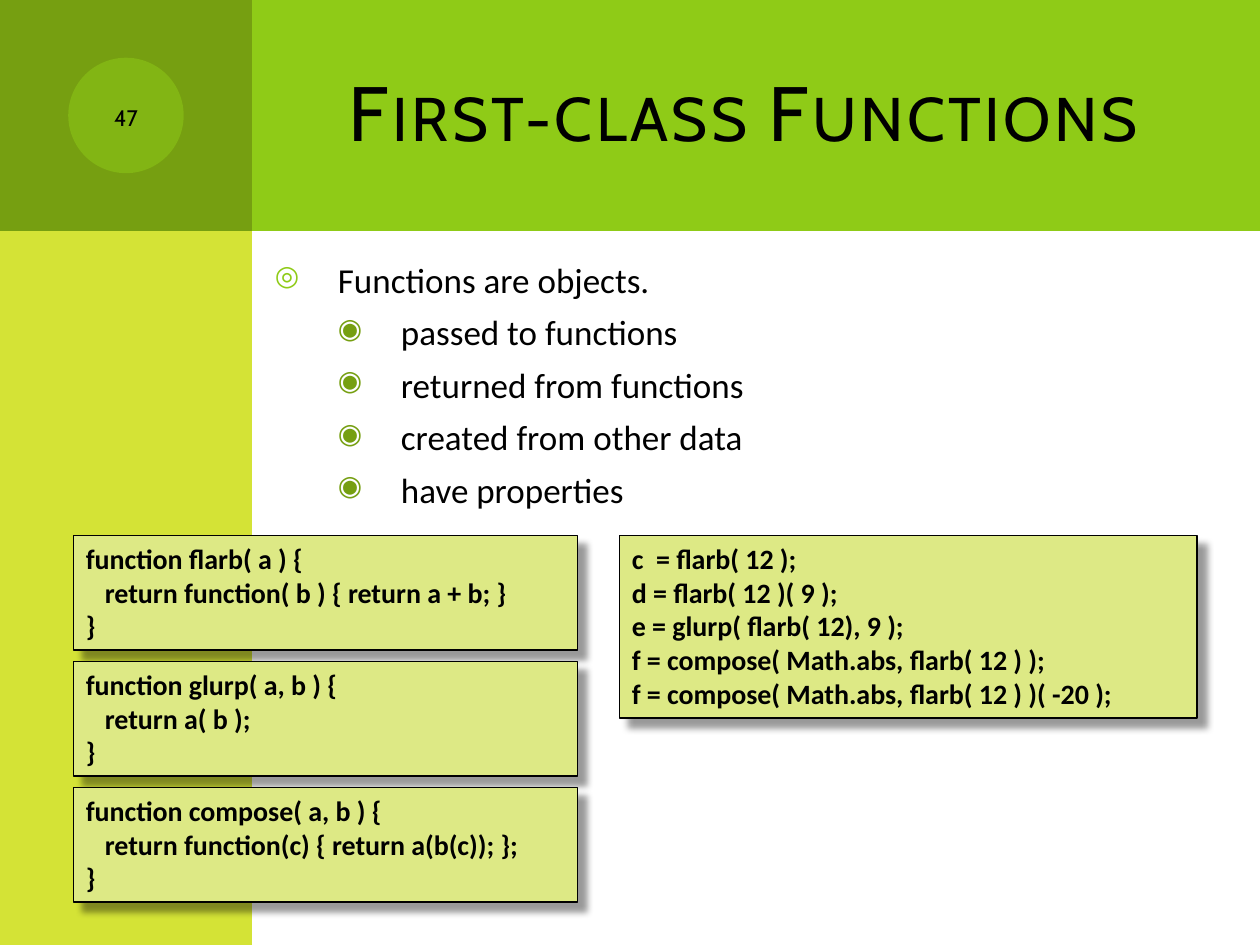
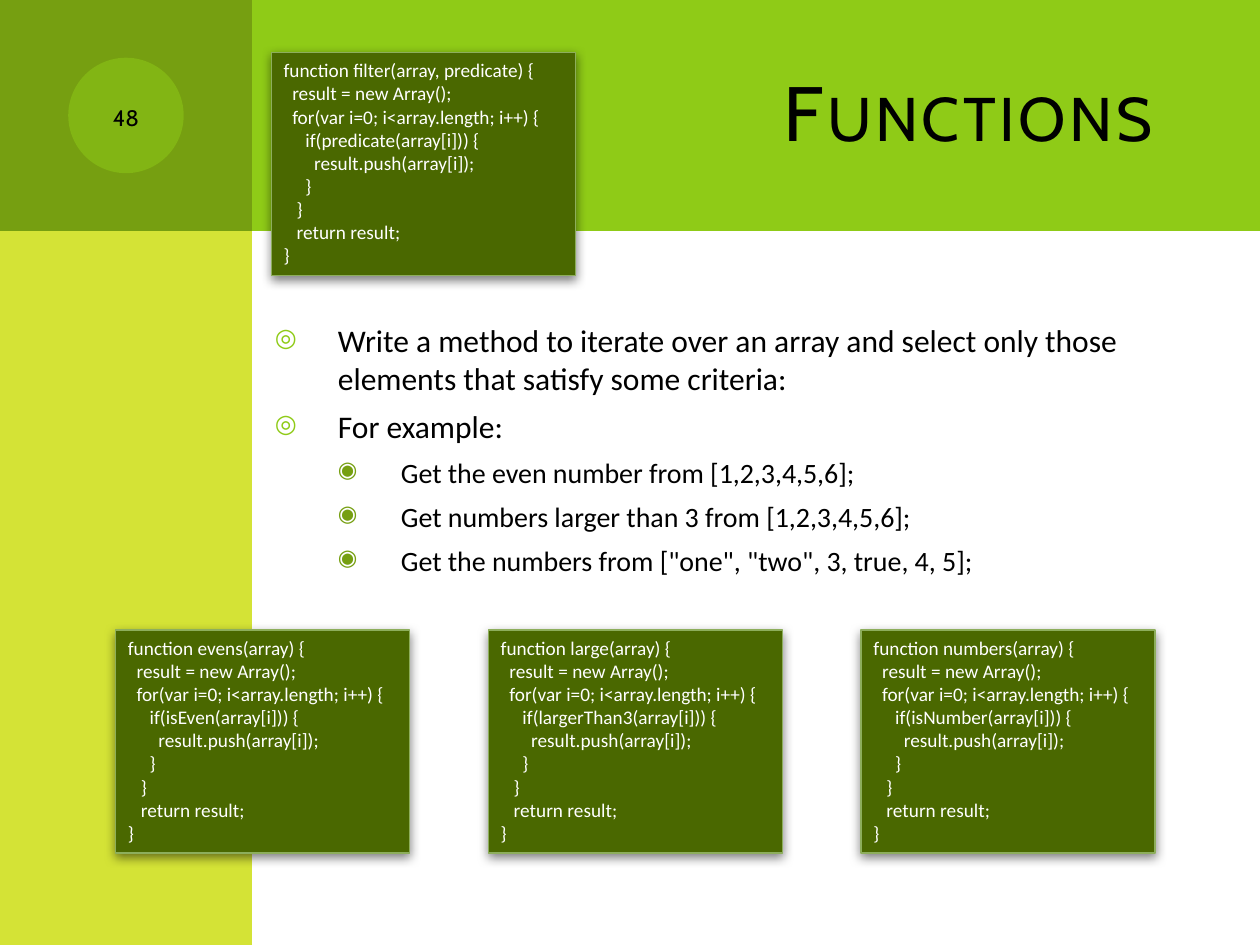
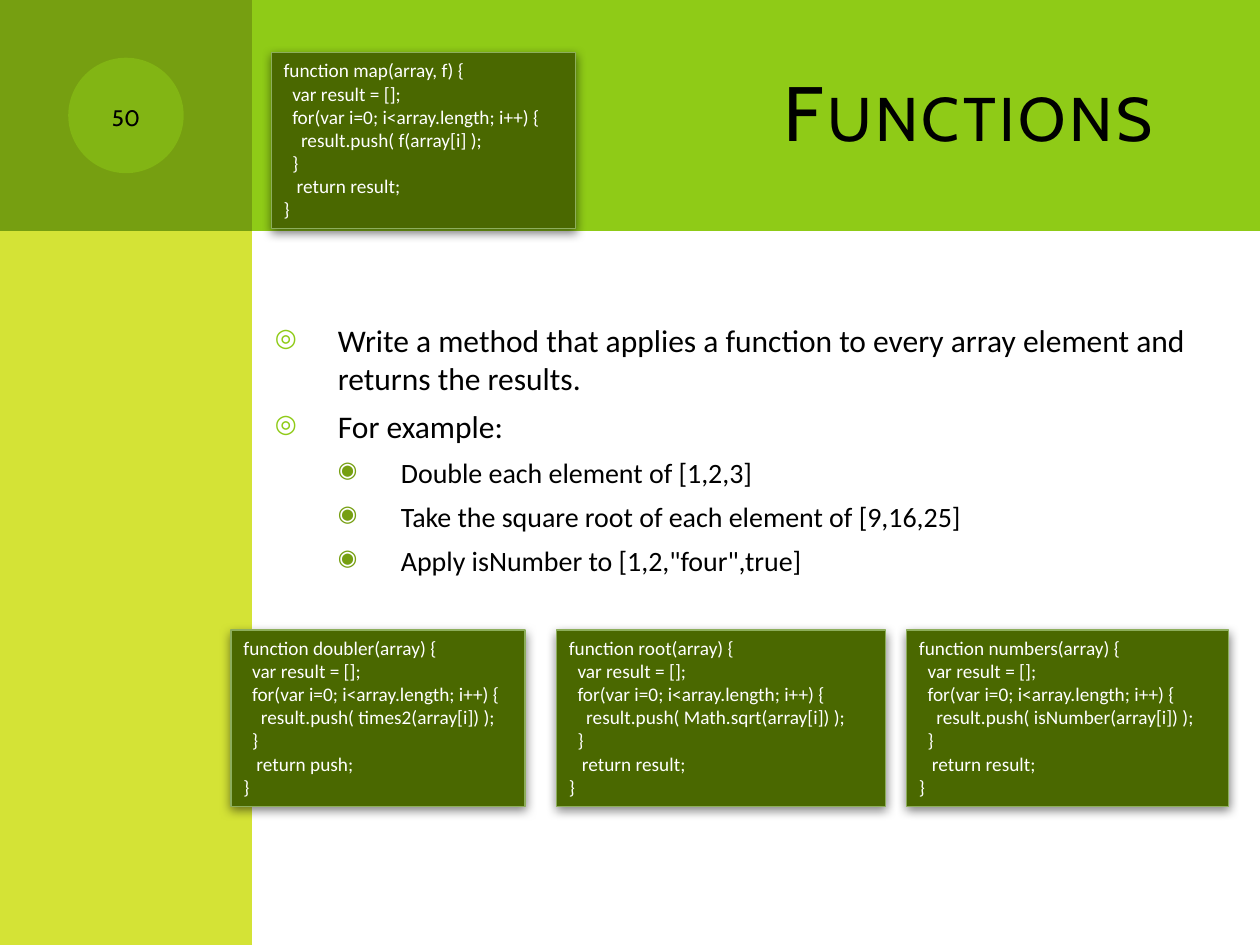
"""Build three slides on JavaScript functions as values."""
from lxml.etree import SubElement as Sub
from pptx import Presentation
from pptx.dml.color import RGBColor
from pptx.enum.shapes import MSO_SHAPE as Kind
from pptx.enum.text import MSO_ANCHOR as Anchor, MSO_AUTO_SIZE as Fit, PP_ALIGN as Align
from pptx.oxml.ns import qn
from pptx.util import Pt

LIME = RGBColor(0x8F, 0xCB, 0x17)
YELLOW = RGBColor(0xD4, 0xE3, 0x36)
OLIVE = RGBColor(0x76, 0x9F, 0x11)
PALE = RGBColor(0xDD, 0xE9, 0x85)
MOSS = RGBColor(0x4A, 0x68, 0x00)
SAGE = RGBColor(0x8D, 0xAE, 0x5C)
BLACK = RGBColor(0, 0, 0)
WHITE = RGBColor(0xFF, 0xFF, 0xFF)
HEAD, BODY = "Cabin", "Calibri"
LEAD, SPACE = 1.215, 0.226

BANDS = [
    (Kind.RECTANGLE, LIME, (36, 0, 684, 132)),
    (Kind.RECTANGLE, YELLOW, (0, 0, 144, 540)),
    (Kind.RECTANGLE, OLIVE, (0, 0, 144, 132)),
    (Kind.OVAL, LIME, (39, 33, 66, 66)),
]
BULLETS = [("◎", LIME), ("◉", OLIVE)]
LIGHT = dict(fill=PALE, edge=BLACK, width=1, ink=BLACK, size=16, bold=True,
             shade=dict(alpha=40, blur=4, dist=7, turn=45))
DARK = dict(fill=MOSS, edge=SAGE, width=0.75, ink=WHITE, size=11, bold=False,
            shade=dict(alpha=50, blur=6, dist=2, turn=90))


def pick(head, test):
    """Return the lines of a function that keeps some elements."""
    return [f"function {head} {{", "  result = new Array();",
            "  for(var i=0; i<array.length; i++) {",
            f"     if({test}(array[i])) {{", "       result.push(array[i]);",
            "     }", "   }", "   return result;", "}"]


def apply(head, call, back="result"):
    """Return the lines of a function that changes every element."""
    return [f"function {head} {{", "  var result = [];",
            "  for(var i=0; i<array.length; i++) {",
            f"    result.push( {call} );", "  }", f"   return {back};", "}"]


SLIDES = [
    dict(title="First-class Functions", num="47", top=144, sizes=(20, 20), style=LIGHT,
         points=[(0, "Functions are objects."),
                 (1, "passed to functions"),
                 (1, "returned from functions"),
                 (1, "created from other data"),
                 (1, "have properties")],
         code=[(42, 306, 288, ["function flarb( a ) {",
                               "   return function( b ) { return a + b; }", "}"]),
               (42, 378, 288, ["function glurp( a, b ) {", "   return a( b );", "}"]),
               (354, 306, 330, ["c  = flarb( 12 );", "d = flarb( 12 )( 9 );",
                                "e = glurp( flarb( 12), 9 );",
                                "f = compose( Math.abs, flarb( 12 ) );",
                                "f = compose( Math.abs, flarb( 12 ) )( -20 );"]),
               (42, 450, 288, ["function compose( a, b ) {",
                               "   return function(c) { return a(b(c)); };", "}"])]),
    dict(title="Functions", num="48", top=180, sizes=(18, 16), style=DARK,
         points=[(0, "Write a method to iterate over an array and select only those "
                     "elements that satisfy some criteria:"),
                 (0, "For example:"),
                 (1, "Get the even number from [1,2,3,4,5,6];"),
                 (1, "Get numbers larger than 3 from [1,2,3,4,5,6];"),
                 (1, 'Get the numbers from ["one", "two", 3, true, 4, 5];')],
         code=[(155, 30, 174, pick("filter(array, predicate)", "predicate")),
               (66, 360, 168, pick("evens(array)", "isEven")),
               (279, 360, 168, pick("large(array)", "largerThan3")),
               (492, 360, 168, pick("numbers(array)", "isNumber"))]),
    dict(title="Functions", num="50", top=180, sizes=(18, 16), style=DARK,
         points=[(0, "Write a method that applies a function to every array element "
                     "and returns the results."),
                 (0, "For example:"),
                 (1, "Double each element of [1,2,3]"),
                 (1, "Take the square root of each element of [9,16,25]"),
                 (1, 'Apply isNumber to [1,2,"four",true]')],
         code=[(155, 30, 174, apply("map(array, f)", "f(array[i]")),
               (132, 360, 168, apply("doubler(array)", "times2(array[i])", "push")),
               (318, 360, 188, apply("root(array)", "Math.sqrt(array[i])")),
               (518, 360, 184, apply("numbers(array)", "isNumber(array[i])"))]),
]


def place(shape, *box):
    """Move and size a shape in points."""
    shape.left, shape.top, shape.width, shape.height = map(Pt, box)


def style(para, face, size, ink, bold=False):
    """Set the font of a paragraph."""
    font = para.font
    font.name, font.size, font.bold = face, Pt(size), bold
    font.color.rgb = ink


def block(slide, kind, fill, box):
    """Add a flat filled shape without a line."""
    shape = slide.shapes.add_shape(kind, *map(Pt, box))
    shape.shadow.inherit = False
    shape.fill.solid()
    shape.fill.fore_color.rgb = fill
    shape.line.fill.background()
    return shape


def dress(slide):
    """Move the bands to the layout that all slides share."""
    layout = slide.slide_layout
    for old in list(layout.placeholders)[1:]:
        old.element.getparent().remove(old.element)
    for i, (kind, fill, box) in enumerate(BANDS):
        shape = block(slide, kind, fill, box)
        if kind == Kind.OVAL:
            tint = shape.element.spPr.find(".//" + qn("a:srgbClr"))
            Sub(tint, qn("a:alpha"), val="50000")
        layout.shapes.element.insert(2 + i, shape.element)


def caps(frame, text, size, align, gap=None):
    """Write one line in small capitals."""
    frame.text = text
    frame.word_wrap, frame.auto_size = True, Fit.NONE
    frame.vertical_anchor = Anchor.MIDDLE
    para = frame.paragraphs[0]
    para.alignment = align
    style(para, HEAD, size, BLACK)
    props = para.runs[0]._r.get_or_add_rPr()
    props.set("cap", "small")
    if gap:
        props.set("spc", str(gap * 100))


def outline(slide, top, sizes, points):
    """Add the bulleted text."""
    frame = slide.shapes.add_textbox(*map(Pt, (150, top, 558, 486 - top))).text_frame
    frame.word_wrap = True
    frame.text = "\n".join(text for _, text in points)
    for para, (level, _) in zip(frame.paragraphs, points):
        mark, tint = BULLETS[level]
        para.level, para.space_before = level, Pt(6)
        props = para._p.get_or_add_pPr()
        props.set("marL", str(Pt(36 * (level + 1))))
        props.set("indent", str(Pt(-36)))
        Sub(Sub(props, qn("a:buClr")), qn("a:srgbClr"), val=str(tint))
        Sub(props, qn("a:buSzPct"), val="80000")
        Sub(props, qn("a:buChar"), char=mark)
        style(para, BODY, sizes[level], BLACK)


def cast(shape, alpha, blur, dist, turn):
    """Give a shape an outer shadow."""
    effects = shape.element.spPr.find(qn("a:effectLst"))
    outer = Sub(effects, qn("a:outerShdw"), blurRad=str(Pt(blur)), dist=str(Pt(dist)),
                dir=str(turn * 60000), algn="tl", rotWithShape="0")
    tint = Sub(outer, qn("a:srgbClr"), val=str(BLACK))
    Sub(tint, qn("a:alpha"), val=str(alpha * 1000))


def listing(slide, look, left, top, width, lines):
    """Add a code box as tall as its lines."""
    size = look["size"]
    tall = round(len(lines) * size * LEAD + 7.2, 2)
    shape = block(slide, Kind.RECTANGLE, look["fill"], (left, top, width, tall))
    shape.line.color.rgb = look["edge"]
    shape.line.width = Pt(look["width"])
    cast(shape, **look["shade"])
    frame = shape.text_frame
    frame.text = "\n".join(line.lstrip() for line in lines)
    frame.word_wrap, frame.auto_size = True, Fit.SHAPE_TO_FIT_TEXT
    frame.vertical_anchor = Anchor.TOP
    for para, line in zip(frame.paragraphs, lines):
        para.alignment = Align.LEFT
        depth = len(line) - len(line.lstrip())
        para._p.get_or_add_pPr().set("marL", str(Pt(depth * size * SPACE)))
        style(para, BODY, size, look["ink"], look["bold"])


def main():
    """Build and save the deck."""
    deck = Presentation()
    deck.slide_width, deck.slide_height = Pt(720), Pt(540)
    for i, page in enumerate(SLIDES):
        slide = deck.slides.add_slide(deck.slide_layouts[5])
        if i == 0:
            dress(slide)
        title = slide.shapes.title
        place(title, 192, 18, 492, 90)
        caps(title.text_frame, page["title"], 44, Align.RIGHT, 2)
        outline(slide, page["top"], page["sizes"], page["points"])
        badge = slide.shapes.add_textbox(*map(Pt, (42, 42, 60, 48)))
        caps(badge.text_frame, page["num"], 16, Align.CENTER)
        for box in page["code"]:
            listing(slide, page["style"], *box)
    deck.save("out.pptx")


if __name__ == "__main__":
    main()
